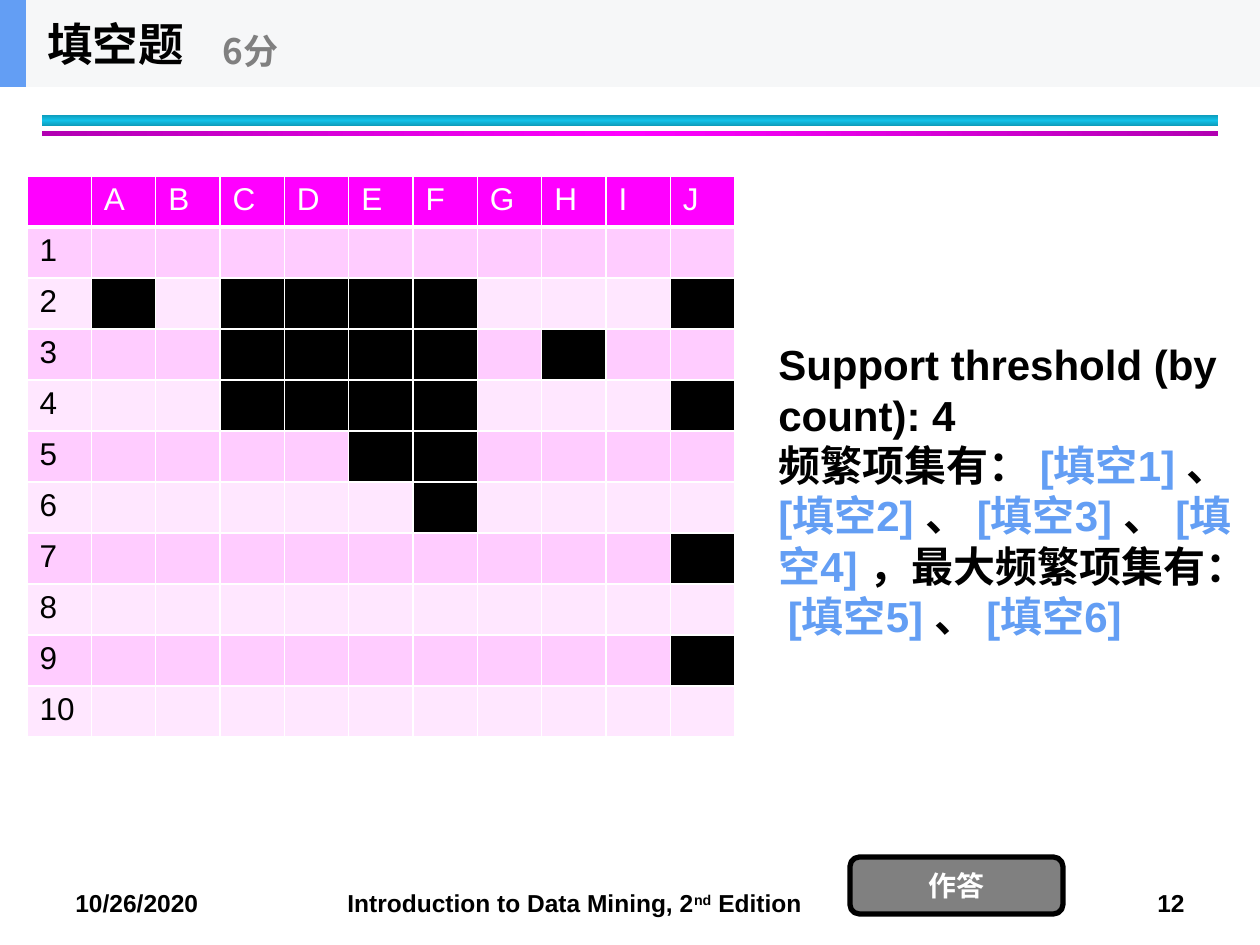
import copy
from lxml import etree
from pptx import Presentation, util as u
from pptx.dml.color import RGBColor
from pptx.enum import shapes, text
from pptx.oxml.ns import qn

PX = u.Inches(1) // 126
C = dict(black="000000", white="FFFFFF", blue="639EF4", grey="808080", panel="F6F7F8",
         head="FF00FF", odd="FFCCFF", even="FFE7FF",
         teal="0E9BBA", cyan="12C2E9", purple="B200B2")
LATIN, CJK = "Arial", "Noto Sans CJK SC"

# Content
COLUMNS = "ABCDEFGHIJ"
ROW_COUNT = 10
FILLED = {2: "ACDEFJ", 3: "CDEFH", 4: "CDEFJ", 5: "EF", 6: "F", 7: "J", 9: "J"}
QUESTION = [
    [("Support threshold (by count): 4", "black")],
    [("频繁项集有： ", "black"), ("[填空1] ", "blue"), ("、 ", "black"),
     ("[填空2] ", "blue"), ("、 ", "black"), ("[填空3] ", "blue"), ("、 ", "black"),
     ("[填空4] ", "blue"), ("，最大频繁项集有： ", "black"), ("[填空5] ", "blue"),
     ("、 ", "black"), ("[填空6]", "blue")],
]
FOOTER = ["10/26/2020\tIntroduction to Data Mining, 2", "nd", " Edition\t12"]
FOOTER_TABS = (272, 1082)
RULES = [((42, 115, 1176, 11), ("teal", "cyan", "teal"), 90),
         ((42, 131, 1176, 5), ("purple", "head", "purple"), 0)]
BANDS = [((0, 0, 1260, 87), "panel"), ((0, 0, 26, 87), "blue")]
TITLES = [((35, 0, 262, 87), "填空题", 26, "black"),
          ((210, 15, 315, 71), "6分", 20, "grey")]
TABLE = (27, 176, 708, 561)

prs = Presentation()
prs.slide_width, prs.slide_height = 1260 * PX, 945 * PX
s = prs.slides.add_slide(prs.slide_layouts[6])


def rgb(name):
    return RGBColor.from_string(C[name])


def emu(box):
    return [v * PX for v in box]


def add_run(p, words, size, color, font=LATIN, bold=True):
    r = p.add_run()
    r.text = words
    for key, value in dict(name=font, size=u.Pt(size), bold=bold).items():
        setattr(r.font, key, value)
    r.font.color.rgb = rgb(color)
    etree.SubElement(r.font._element, qn("a:ea"), typeface=CJK)
    return r


def add_box(box, anchor=text.MSO_ANCHOR.MIDDLE):
    tf = s.shapes.add_textbox(*emu(box)).text_frame
    tf.word_wrap = True
    tf.vertical_anchor = anchor
    return tf


def add_block(box, color, kind=shapes.MSO_SHAPE.RECTANGLE):
    sp = s.shapes.add_shape(kind, *emu(box))
    sp.shadow.inherit = False
    sp.fill.solid()
    sp.fill.fore_color.rgb = rgb(color)
    sp.line.fill.background()
    return sp


def set_borders(cell, bottom):
    tc_pr = cell._tc.get_or_add_tcPr()
    for i, (side, width) in enumerate(dict(L=1, R=1, T=1, B=bottom).items()):
        ln = etree.Element(qn(f"a:ln{side}"), w=str(u.Pt(width)))
        fill = etree.SubElement(ln, qn("a:solidFill"))
        etree.SubElement(fill, qn("a:srgbClr"), val=C["white"])
        tc_pr.insert(i, ln)


# Gradient rules
for box, colors, angle in RULES:
    sp = add_block(box, colors[0])
    sp.fill.gradient()
    sp.fill.gradient_angle = angle
    stops = sp.fill._fill._gradFill.find(qn("a:gsLst"))
    stops.append(copy.deepcopy(stops[0]))
    for stop, color, position in zip(sp.fill.gradient_stops, colors, (0, 0.5, 1)):
        stop.color.rgb = rgb(color)
        stop.position = position

# Footer
p = add_box((63, 882, 1176, 43), text.MSO_ANCHOR.TOP).paragraphs[0]
tabs = etree.SubElement(p._p.get_or_add_pPr(), qn("a:tabLst"))
for stop in FOOTER_TABS:
    etree.SubElement(tabs, qn("a:tab"), pos=str(stop * PX), algn="l")
footer_runs = [add_run(p, words, 14, "black") for words in FOOTER]
footer_runs[1].font._element.set("baseline", "30000")

# Question
tf = add_box((766, 224, 493, 532))
for i, parts in enumerate(QUESTION):
    p = tf.add_paragraph() if i else tf.paragraphs[0]
    for words, color in parts:
        add_run(p, words, 24, color)

# Answer button
sp = add_block((850, 857, 213, 57), "grey", shapes.MSO_SHAPE.ROUNDED_RECTANGLE)
sp.line.color.rgb = rgb("black")
sp.line.width = u.Pt(3)
sp.text_frame.vertical_anchor = text.MSO_ANCHOR.MIDDLE
p = sp.text_frame.paragraphs[0]
p.alignment = text.PP_ALIGN.CENTER
add_run(p, "作答", 16, "white", CJK)

# Transaction table
labels = [""] + list(COLUMNS)
table = s.shapes.add_table(ROW_COUNT + 1, len(labels), *emu(TABLE)).table
for i in range(ROW_COUNT + 1):
    for j, letter in enumerate(labels):
        cell = table.cell(i, j)
        band = "head" if i == 0 else "odd" if i % 2 else "even"
        filled = letter and letter in FILLED.get(i, "")
        cell.fill.solid()
        cell.fill.fore_color.rgb = rgb("black" if filled else band)
        set_borders(cell, 1 if i else 3)
        label = letter if i == 0 else str(i) if j == 0 else ""
        if label:
            add_run(cell.text_frame.paragraphs[0], label, 18,
                    "black" if i else "white", bold=False)

# Header band
for box, color in BANDS:
    add_block(box, color)
for box, words, size, color in TITLES:
    add_run(add_box(box).paragraphs[0], words, size, color, CJK)

prs.save("out.pptx")
